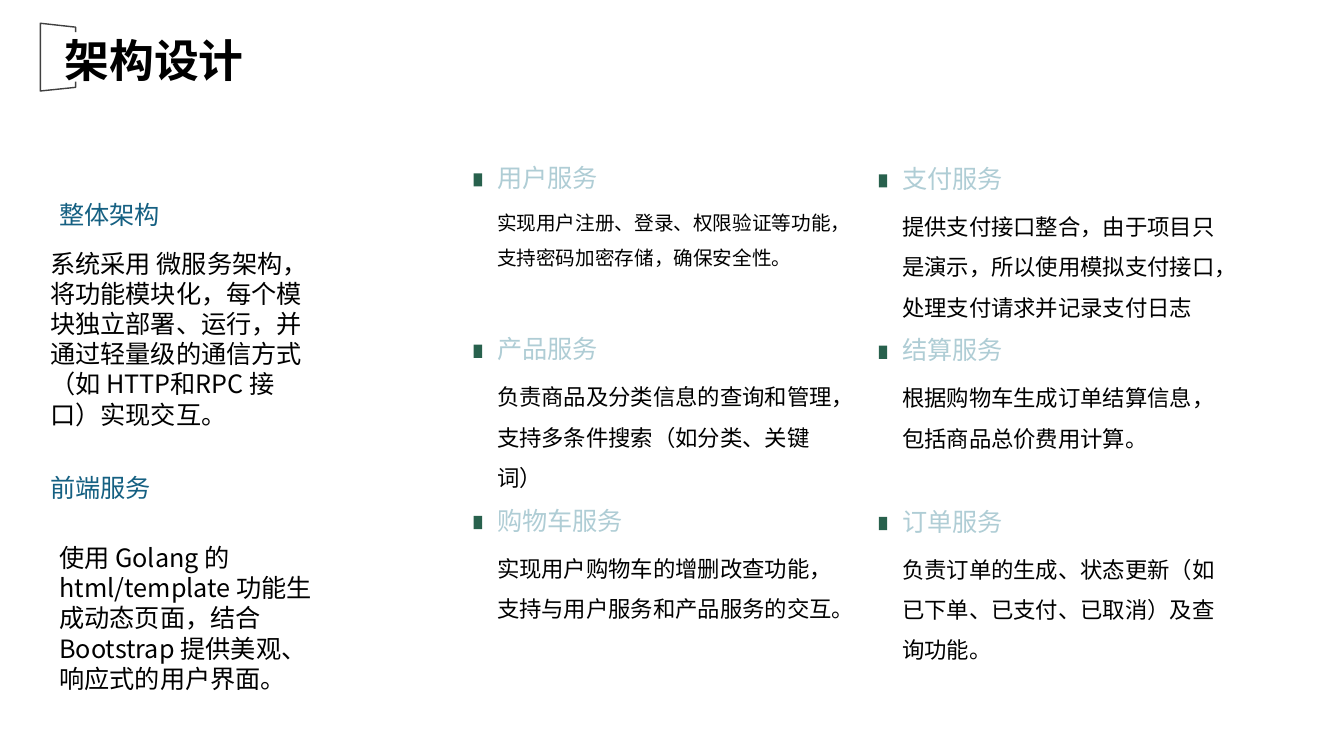
from pptx import Presentation
from pptx.dml.color import RGBColor
from pptx.enum.lang import MSO_LANGUAGE_ID as Language
from pptx.enum.shapes import MSO_SHAPE as Shape
from pptx.enum.text import MSO_ANCHOR as Anchor, MSO_AUTO_SIZE as AutoSize, PP_ALIGN as Align
from pptx.oxml.ns import qn
from pptx.util import Pt
from lxml.etree import SubElement

FONT = "Noto Sans CJK SC"
BLACK = RGBColor(0x00, 0x00, 0x00)
BLUE = RGBColor(0x15, 0x60, 0x82)
PALE_BLUE = RGBColor(0xAF, 0xCD, 0xD5)
GREEN = RGBColor(0x28, 0x61, 0x4D)
GRAY = RGBColor(0x40, 0x40, 0x40)

ROW_STEP = 122.4
SERVICE_COLUMNS = [
    (355, 115.9, 243, [
        ("用户服务", "实现用户注册、登录、权限验证等功能，支持密码加密存储，确保安全性。", 14),
        ("产品服务", "负责商品及分类信息的查询和管理，支持多条件搜索（如分类、关键词）", 16),
        ("购物车服务", "实现用户购物车的增删改查功能，支持与用户服务和产品服务的交互。", 16),
    ]),
    (644.4, 116.6, 233, [
        ("支付服务", "提供支付接口整合，由于项目只是演示，所以使用模拟支付接口，处理支付请求并记录支付日志", 16),
        ("结算服务", "根据购物车生成订单结算信息，包括商品总价费用计算。", 16),
        ("订单服务", "负责订单的生成、状态更新（如已下单、已支付、已取消）及查询功能。", 16),
    ]),
]
OVERVIEW = [
    ("整体架构", 35.3, 139, BLUE, 320, 29),
    ("系统采用 微服务架构，将功能模块化，每个模块独立部署、运行，并通过轻量级的通信方式（如 HTTP和RPC 接口）实现交互。",
     28.8, 173.5, BLACK, 210, 274),
    ("前端服务", 28.8, 334.1, BLUE, 320, 29),
    ("使用 Golang 的 html/template 功能生成动态页面，结合 Bootstrap 提供美观、响应式的用户界面。",
     35.3, 383.8, BLACK, 204, 134),
]


def write_text(shape, text, *, size=18, color=BLACK, bold=False, spacing=None,
               anchor=Anchor.TOP, inset=True):
    frame = shape.text_frame
    frame.word_wrap = True
    frame.auto_size = AutoSize.NONE
    frame.vertical_anchor = anchor
    if not inset:
        frame.margin_left = frame.margin_right = Pt(0)
        frame.margin_top = frame.margin_bottom = Pt(0)
    paragraph = frame.paragraphs[0]
    paragraph.alignment = Align.LEFT
    paragraph.line_spacing = spacing
    run = paragraph.add_run()
    run.text = text
    font = run.font
    font.size, font.bold, font.name = Pt(size), bold, FONT
    font.color.rgb = color
    font.language_id = Language.SIMPLIFIED_CHINESE
    SubElement(font._element, qn("a:ea"), typeface=FONT)


def add_text(slide, text, left, top, width, height, **text_format):
    box = slide.shapes.add_textbox(Pt(left), Pt(top), Pt(width), Pt(height))
    write_text(box, text, **text_format)


def add_marker(slide, left, top):
    marker = slide.shapes.add_shape(Shape.RECTANGLE, Pt(left), Pt(top), Pt(6), Pt(9.4))
    marker.shadow.inherit = False
    marker.fill.solid()
    marker.fill.fore_color.rgb = GREEN
    marker.line.fill.background()


def add_title(slide, text):
    title = slide.shapes.title
    title.left, title.top, title.width, title.height = Pt(46), Pt(21.6), Pt(852), Pt(34)
    write_text(title, text, size=32, bold=True, spacing=1.2, anchor=Anchor.MIDDLE, inset=False)


def add_title_bracket(slide):
    builder = slide.shapes.build_freeform(Pt(54), Pt(23))
    corners = [(54, 19.4), (28.8, 16.6), (28.8, 65), (54, 62.4), (54, 58.3)]
    builder.add_line_segments([(Pt(x), Pt(y)) for x, y in corners], close=False)
    bracket = builder.convert_to_shape()
    bracket.shadow.inherit = False
    bracket.fill.background()
    bracket.line.color.rgb = GRAY
    bracket.line.width = Pt(1)


def add_service(slide, left, top, width, name, description, size):
    add_marker(slide, left - 16.6, top + 7.9)
    add_text(slide, name, left, top, width, 20, color=PALE_BLUE, inset=False)
    add_text(slide, description, left, top + 26, width, 90, size=size, spacing=1.5, inset=False)


def main():
    presentation = Presentation()
    presentation.slide_width, presentation.slide_height = Pt(960), Pt(540)
    slide = presentation.slides.add_slide(presentation.slide_layouts[5])
    add_title(slide, "架构设计")
    add_title_bracket(slide)
    for text, left, top, color, width, height in OVERVIEW:
        add_text(slide, text, left, top, width, height, color=color)
    for left, top, width, services in SERVICE_COLUMNS:
        for row, service in enumerate(services):
            add_service(slide, left, top + row * ROW_STEP, width, *service)
    presentation.save("out.pptx")


if __name__ == "__main__":
    main()
